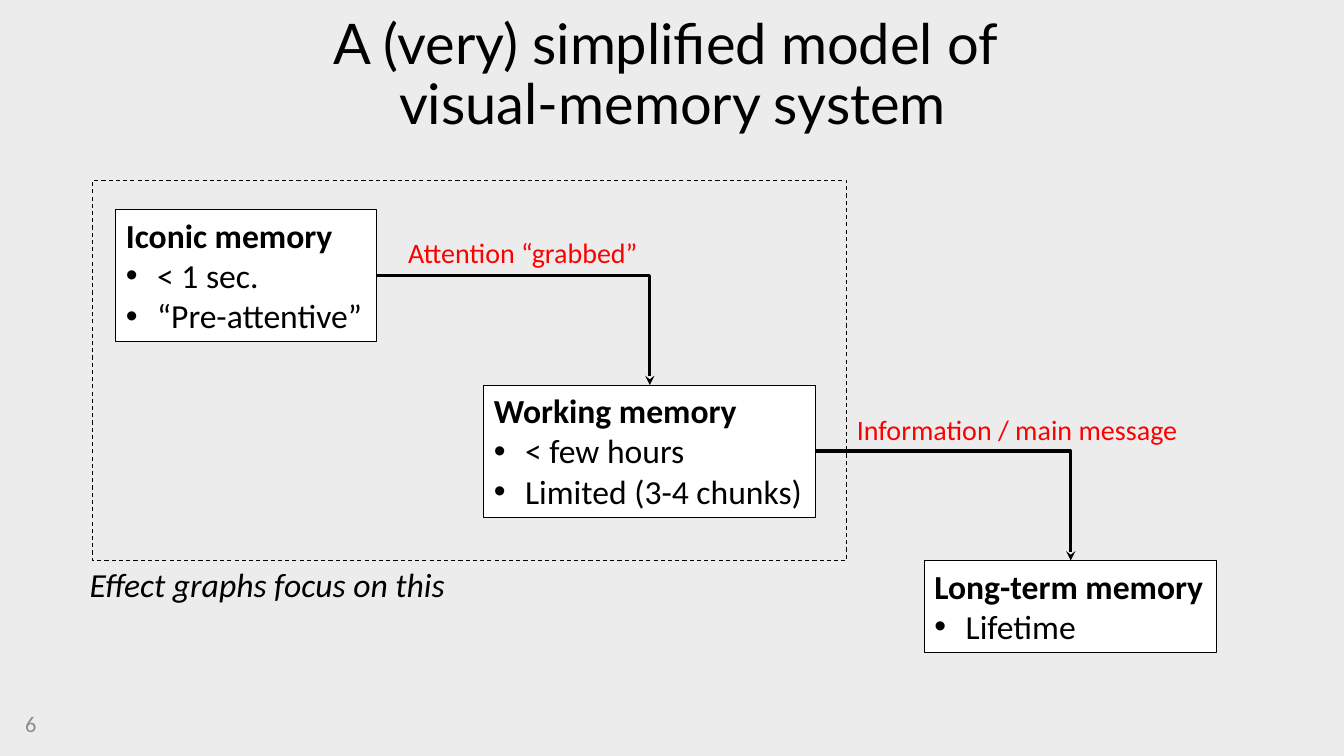
from dataclasses import dataclass

from lxml import etree
from pptx import Presentation
from pptx.dml.color import RGBColor
from pptx.enum.dml import MSO_LINE
from pptx.enum.shapes import MSO_CONNECTOR, MSO_SHAPE
from pptx.enum.text import MSO_ANCHOR, PP_ALIGN
from pptx.oxml.ns import qn
from pptx.util import Inches, Pt

RECT = MSO_SHAPE.RECTANGLE
ELBOW = MSO_CONNECTOR.ELBOW
DASH = MSO_LINE.DASH
LEFT, CENTER = PP_ALIGN.LEFT, PP_ALIGN.CENTER
TOP, MIDDLE = MSO_ANCHOR.TOP, MSO_ANCHOR.MIDDLE
TOP_SITE, RIGHT_SITE = 0, 3


@dataclass(frozen=True)
class Theme:
    background: str = "EDECED"
    ink: str = "000000"
    box: str = "FFFFFF"
    accent: str = "FF0000"
    muted: str = "8C8C8C"
    title_font: str = "Lato"
    body_font: str = "Calibri"
    title_size: int = 40
    body_size: int = 24
    label_size: int = 20
    number_size: int = 16
    thin: float = 0.75
    thick: float = 2.25
    bullet_indent: float = 0.31


def rgb(value):
    return RGBColor.from_string(value)


def add_text(p, text, *, font, size, color, bold=False, italic=False, align=LEFT):
    p.alignment = align
    for i, line in enumerate(text.split("\n")):
        if i:
            p.add_line_break()
        r = p.add_run()
        r.text = line
        r.font.name = font
        r.font.size = Pt(size)
        r.font.color.rgb = rgb(color)
        r.font.bold = bold
        r.font.italic = italic


def add_bullet(p, indent):
    pPr = p._p.get_or_add_pPr()
    pPr.set("marL", str(Inches(indent)))
    pPr.set("indent", str(-Inches(indent)))
    etree.SubElement(pPr, qn("a:buFont")).set("typeface", "Arial")
    etree.SubElement(pPr, qn("a:buChar")).set("char", "•")


class Diagram:
    def __init__(self, slide, theme):
        self.slide = slide
        self.theme = theme
        fill = slide.background.fill
        fill.solid()
        fill.fore_color.rgb = rgb(theme.background)

    def rect(self, x, y, w, h, fill=None, dash=None):
        sp = self.slide.shapes.add_shape(RECT, Inches(x), Inches(y), Inches(w), Inches(h))
        sp.shadow.inherit = False
        if fill:
            sp.fill.solid()
            sp.fill.fore_color.rgb = rgb(fill)
        else:
            sp.fill.background()
        sp.line.color.rgb = rgb(self.theme.ink)
        sp.line.width = Pt(self.theme.thin)
        if dash:
            sp.line.dash_style = dash
        return sp

    def memory(self, x, y, w, h, name, traits):
        t = self.theme
        sp = self.rect(x, y, w, h, fill=t.box)
        tf = sp.text_frame
        tf.word_wrap = False
        tf.vertical_anchor = TOP
        style = dict(font=t.body_font, size=t.body_size, color=t.ink)
        add_text(tf.paragraphs[0], name, bold=True, **style)
        for trait in traits:
            p = tf.add_paragraph()
            add_bullet(p, t.bullet_indent)
            add_text(p, trait, **style)
        return sp

    def arrow(self, source, target):
        c = self.slide.shapes.add_connector(ELBOW, 0, 0, 0, 0)
        c.begin_connect(source, RIGHT_SITE)
        c.end_connect(target, TOP_SITE)
        c.line.color.rgb = rgb(self.theme.ink)
        c.line.width = Pt(self.theme.thick)
        spPr = c._element.spPr
        spPr.find(qn("a:prstGeom")).set("prst", "bentConnector2")
        etree.SubElement(spPr.find(qn("a:ln")), qn("a:tailEnd")).set("type", "stealth")
        etree.SubElement(spPr, qn("a:effectLst"))

    def text(self, x, y, w, h, text, wrap=False, anchor=TOP, spacing=None, **style):
        sp = self.slide.shapes.add_textbox(Inches(x), Inches(y), Inches(w), Inches(h))
        tf = sp.text_frame
        tf.word_wrap = wrap
        tf.vertical_anchor = anchor
        p = tf.paragraphs[0]
        if spacing:
            p.line_spacing = spacing
        add_text(p, text, **style)


def main():
    prs = Presentation()
    prs.slide_width = Inches(13.33)
    prs.slide_height = Inches(7.5)
    t = Theme()
    d = Diagram(prs.slides.add_slide(prs.slide_layouts[6]), t)

    d.rect(0.92, 1.79, 7.48, 3.77, dash=DASH)
    d.text(0.92, 0.06, 11.5, 1.39, "A (very) simplified model of \nvisual-memory system",
           wrap=True, anchor=MIDDLE, spacing=0.9, align=CENTER,
           font=t.title_font, size=t.title_size, color=t.ink)

    iconic = d.memory(1.15, 2.08, 2.58, 1.31, "Iconic memory",
                      ["< 1 sec.", "“Pre-attentive”"])
    working = d.memory(4.8, 3.82, 3.29, 1.31, "Working memory",
                       ["< few hours", "Limited (3-4 chunks)"])
    long_term = d.memory(9.17, 5.56, 2.9, 0.91, "Long-term memory", ["Lifetime"])
    d.arrow(iconic, working)
    d.arrow(working, long_term)

    label = dict(font=t.body_font, size=t.label_size, color=t.accent)
    d.text(3.95, 2.29, 2.51, 0.44, "Attention “grabbed”", **label)
    d.text(8.4, 4.04, 3.41, 0.44, "Information / main message", **label)
    d.text(0.79, 5.55, 3.78, 0.5, "Effect graphs focus on this", italic=True,
           font=t.body_font, size=t.body_size, color=t.ink)
    d.text(0.15, 6.98, 0.53, 0.4, "6", wrap=True, anchor=MIDDLE,
           font=t.body_font, size=t.number_size, color=t.muted)

    prs.save("out.pptx")


if __name__ == "__main__":
    main()
